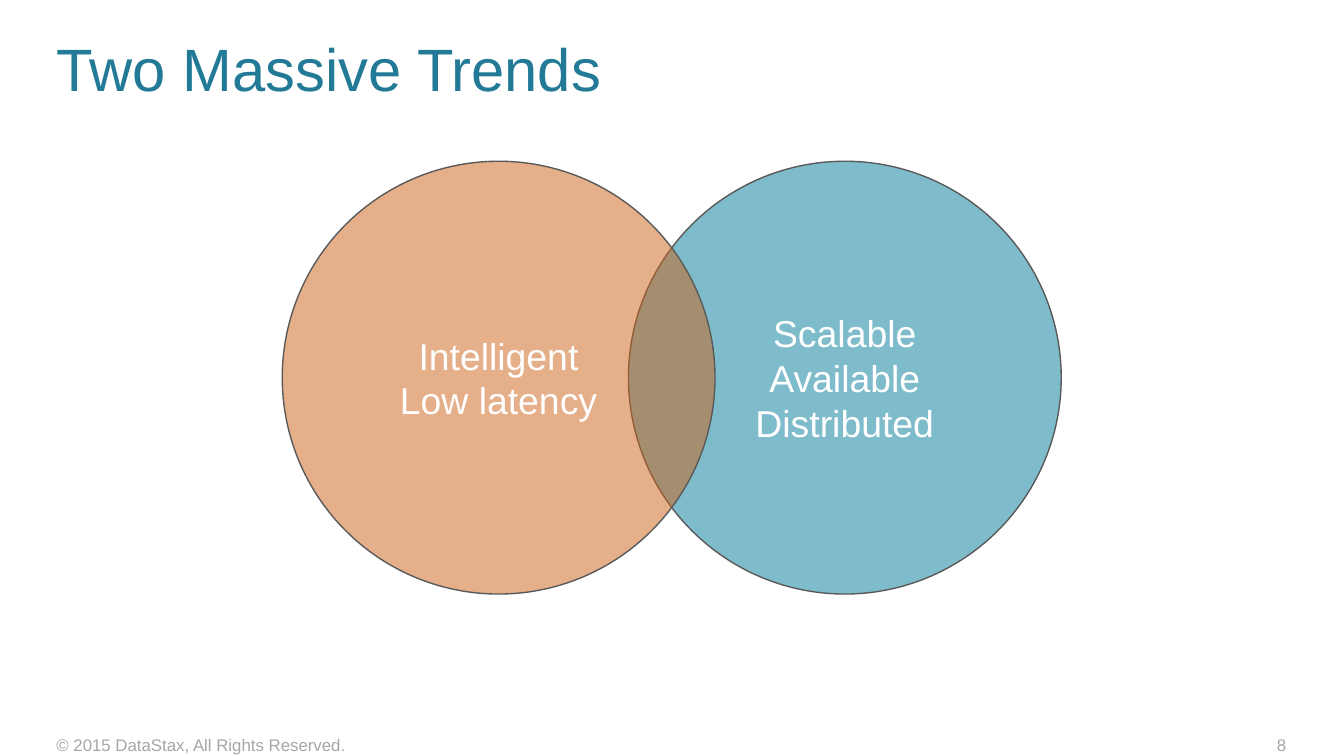
import pptx
import pptx.util
import pptx.dml.color
import pptx.enum.shapes
import pptx.enum.text
import lxml.etree

TITLE = "Two Massive Trends"
NOTE = "© 2015 DataStax, All Rights Reserved."
PAGE = "8"
TRENDS = [
    ("warm", ["Intelligent", "Low latency"]),
    ("cool", ["Scalable", "Available", "Distributed"]),
]

THEME = {
    "font": "Arial",
    "title": ("237A97", 32),
    "foot": ("A6A6A6", 9),
    "label": ("FFFFFF", 20),
    "warm": "CB6015",
    "cool": "007B98",
    "edge": "595959",
    "alpha": 50,
}

WIDE = 10
HIGH = WIDE * 9 / 16
LEFT = 0.42
FOOT = 5.47
SIZE = 3.22
STEP = 0.8 * SIZE
START = (2.1, 1.2)

Inch = pptx.util.Inches
Align = pptx.enum.text.PP_ALIGN
Anchor = pptx.enum.text.MSO_ANCHOR


def color(code):
    return pptx.dml.color.RGBColor.from_string(code)


def write(frame, lines, style, align):
    code, size = THEME[style]
    frame.word_wrap = True
    for i, line in enumerate(lines):
        para = frame.paragraphs[0] if i == 0 else frame.add_paragraph()
        para.alignment = align
        run = para.add_run()
        run.text = line
        run.font.name = THEME["font"]
        run.font.size = pptx.util.Pt(size)
        run.font.color.rgb = color(code)


def text(slide, line, area, style, align=Align.LEFT, anchor=Anchor.TOP):
    frame = slide.shapes.add_textbox(*map(Inch, area)).text_frame
    frame.margin_left = frame.margin_right = 0
    frame.margin_top = frame.margin_bottom = 0
    frame.vertical_anchor = anchor
    write(frame, [line], style, align)


def circle(group, col, hue, lines):
    x, y = START
    area = (x + col * STEP, y, SIZE, SIZE)
    shape = group.shapes.add_shape(
        pptx.enum.shapes.MSO_SHAPE.OVAL, *map(Inch, area))
    shape.shadow.inherit = False
    shape.fill.solid()
    shape.fill.fore_color.rgb = color(THEME[hue])
    tag = pptx.oxml.ns.qn
    tint = shape.element.spPr.find(tag("a:solidFill"))[0]
    alpha = lxml.etree.SubElement(tint, tag("a:alpha"))
    alpha.set("val", str(THEME["alpha"] * 1000))
    shape.line.color.rgb = color(THEME["edge"])
    shape.line.width = pptx.util.Pt(0.75)
    shape.text_frame.vertical_anchor = Anchor.MIDDLE
    write(shape.text_frame, lines, "label", Align.CENTER)


def main():
    deck = pptx.Presentation()
    deck.slide_width, deck.slide_height = Inch(WIDE), Inch(HIGH)
    slide = deck.slides.add_slide(deck.slide_layouts[6])
    text(slide, TITLE, (LEFT, 0.22, 8.25, 0.57), "title",
         anchor=Anchor.MIDDLE)
    text(slide, NOTE, (LEFT, FOOT, 3.83, 0.3), "foot")
    text(slide, PAGE, (7.4, FOOT, 2.17, 0.3), "foot", Align.RIGHT)
    group = slide.shapes.add_group_shape()
    for col, (hue, lines) in reversed(list(enumerate(TRENDS))):
        circle(group, col, hue, lines)
    deck.save("out.pptx")


if __name__ == "__main__":
    main()
